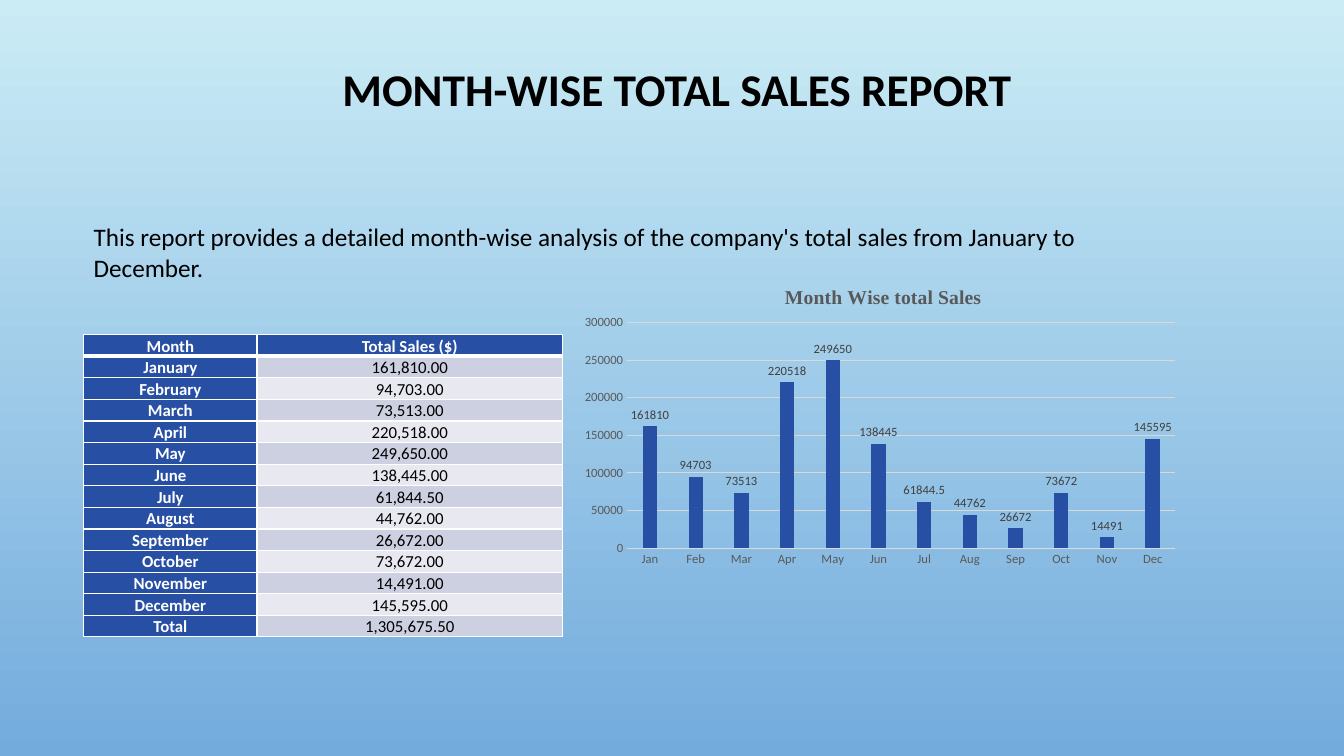
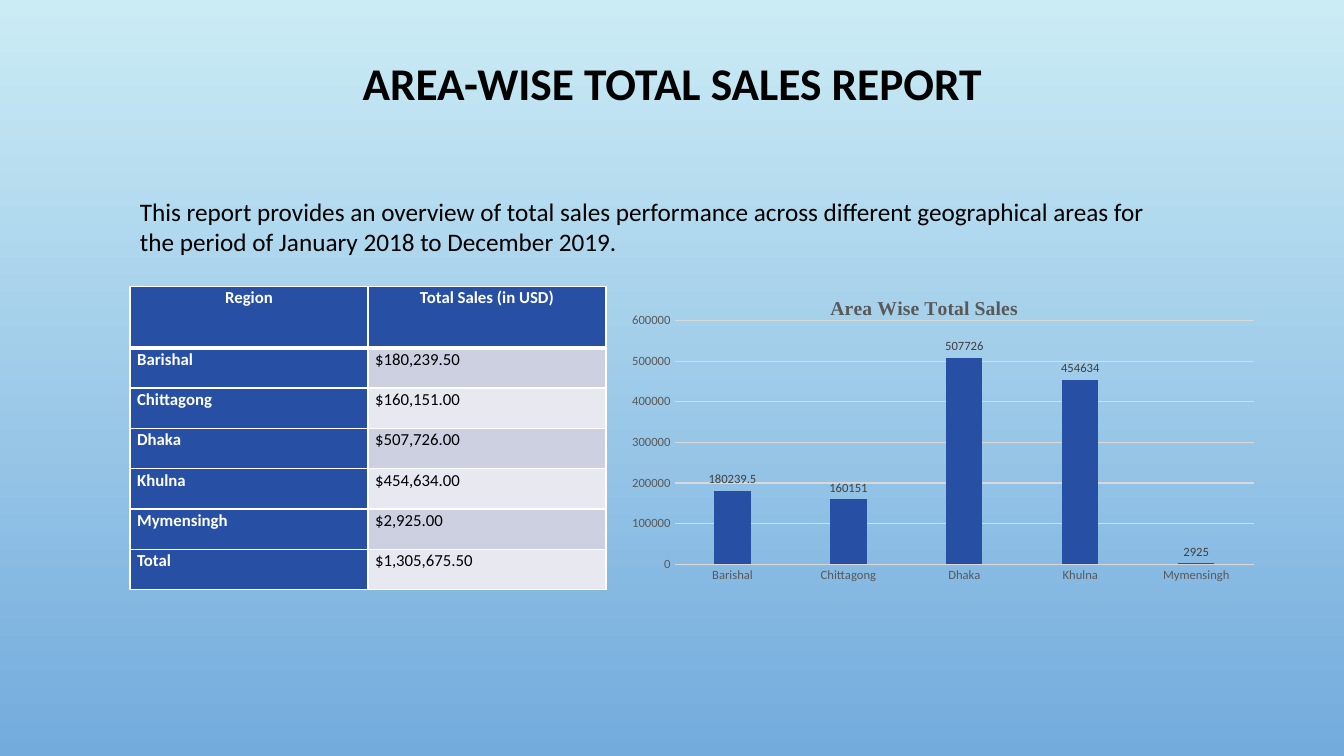
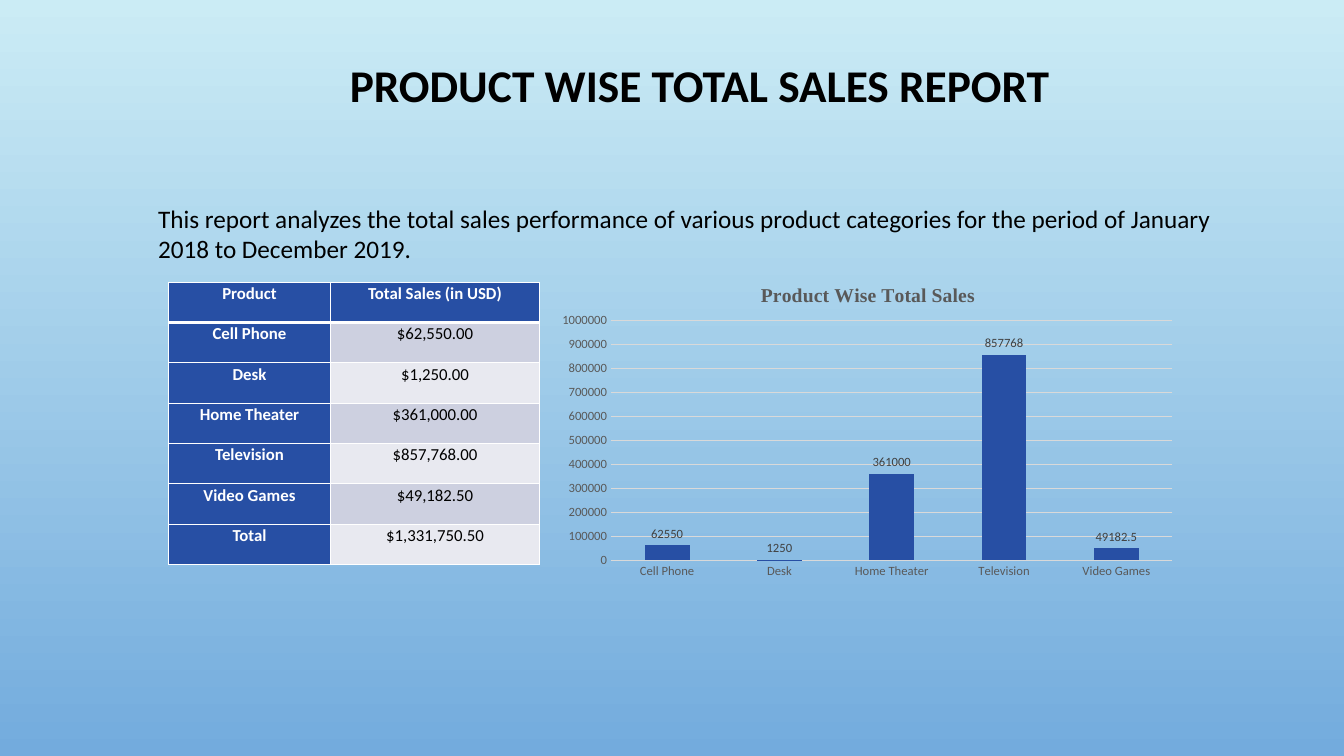
from dataclasses import dataclass

from lxml import etree
from pptx import Presentation
from pptx.chart.data import CategoryChartData
from pptx.dml.color import RGBColor
from pptx.enum.chart import XL_CHART_TYPE, XL_LABEL_POSITION as LabelPos, XL_TICK_MARK as Tick
from pptx.enum.text import MSO_ANCHOR as Anchor, PP_ALIGN as Align
from pptx.oxml.ns import qn
from pptx.util import Inches, Pt

COLORS = {
    "sky_top": "CBECF5",
    "sky_bottom": "73ABDD",
    "ink": "000000",
    "white": "FFFFFF",
    "navy": "274FA4",
    "band_dark": "CDD0E0",
    "band_light": "E8E9F0",
    "axis": "595959",
    "label": "404040",
    "grid": "D9D9D9",
}
BODY_FONT = "Calibri"
CHART_TITLE_FONT = "Times New Roman"


@dataclass
class Report:
    title: str
    title_box: tuple
    intro: str
    intro_box: tuple
    headers: tuple
    sales: dict
    table_at: tuple
    col_widths: tuple
    header_height: float
    row_height: float
    chart_title: str
    chart_title_at: tuple
    chart_box: tuple
    plot_box: tuple
    axis_max: int
    axis_step: int
    currency: str = "$"
    body_align: Align = Align.CENTER
    label_length: int = 20
    gap: int = 219
    overlap: int = -27


REPORTS = [
    Report(
        title="MONTH-WISE TOTAL SALES REPORT",
        title_box=(2.29, 0.67, 8.85, 0.98),
        intro="This report provides a detailed month-wise analysis of the company's "
              "total sales from January to December.",
        intro_box=(0.83, 2.15, 10.95, 0.4),
        headers=("Month", "Total Sales ($)"),
        sales={"January": 161810, "February": 94703, "March": 73513,
               "April": 220518, "May": 249650, "June": 138445,
               "July": 61844.5, "August": 44762, "September": 26672,
               "October": 73672, "November": 14491, "December": 145595},
        table_at=(0.83, 3.32), col_widths=(1.72, 3.03),
        header_height=0.2, row_height=0.2,
        chart_title="Month Wise total Sales", chart_title_at=(7.75, 2.79),
        chart_box=(5.67, 2.62, 6.11, 3.08), plot_box=(6.22, 3.2, 5.44, 2.24),
        axis_max=300000, axis_step=50000,
        currency="", label_length=3,
    ),
    Report(
        title="AREA-WISE TOTAL SALES REPORT",
        title_box=(2.27, 0.61, 8.8, 0.92),
        intro="This report provides an overview of total sales performance across "
              "different geographical areas for the period of January 2018 to "
              "December 2019.",
        intro_box=(1.29, 1.9, 10.5, 0.71),
        headers=("Region", "Total Sales (in USD)"),
        sales={"Barishal": 180239.5, "Chittagong": 160151, "Dhaka": 507726,
               "Khulna": 454634, "Mymensingh": 2925},
        table_at=(1.29, 2.84), col_widths=(2.36, 2.36),
        header_height=0.61, row_height=0.4,
        chart_title="Area Wise Total Sales", chart_title_at=(8.2, 2.89),
        chart_box=(6.14, 2.61, 6.42, 3.24), plot_box=(6.69, 3.18, 5.75, 2.42),
        axis_max=600000, axis_step=100000,
        body_align=Align.LEFT,
    ),
    Report(
        title="PRODUCT WISE TOTAL SALES REPORT",
        title_box=(2.39, 0.63, 9.1, 0.89),
        intro="This report analyzes the total sales performance of various product "
              "categories for the period of January 2018 to December 2019.",
        intro_box=(1.47, 1.97, 10.97, 0.71),
        headers=("Product", "Total Sales (in USD)"),
        sales={"Cell Phone": 62550, "Desk": 1250, "Home Theater": 361000,
               "Television": 857768, "Video Games": 49182.5},
        table_at=(1.67, 2.8), col_widths=(1.61, 2.07),
        header_height=0.4, row_height=0.4,
        chart_title="Product Wise Total Sales", chart_title_at=(7.51, 2.77),
        chart_box=(5.45, 2.6, 6.3, 3.22), plot_box=(6.06, 3.18, 5.57, 2.38),
        axis_max=1000000, axis_step=100000,
        gap=150, overlap=0,
    ),
]


def rgb(name):
    return RGBColor.from_string(COLORS[name])


def style_font(font, size, color, bold=False, name=BODY_FONT):
    font.name, font.size, font.bold = name, Pt(size), bold
    font.color.rgb = rgb(color)


# Background and text
def paint_background(slide):
    fill = slide.background.fill
    fill.gradient()
    fill.gradient_angle = 270
    for stop, position, color in zip(fill.gradient_stops, (0, 1), ("sky_top", "sky_bottom")):
        stop.position = position
        stop.color.rgb = rgb(color)


def add_text(slide, box, text, size, bold=False):
    frame = slide.shapes.add_textbox(*map(Inches, box)).text_frame
    frame.word_wrap = True
    frame.vertical_anchor = Anchor.TOP
    paragraph = frame.paragraphs[0]
    paragraph.text = text
    style_font(paragraph.font, size, "ink", bold)
    return frame


def add_title(slide, report):
    frame = add_text(slide, report.title_box, report.title, 32.4, bold=True)
    frame.margin_top = 0
    frame.paragraphs[0].alignment = Align.CENTER
    frame.paragraphs[0].line_spacing = 0.9


# Sales table
def add_borders(cell, row):
    heavy_side = {0: "B", 1: "T"}.get(row)
    properties = cell._tc.get_or_add_tcPr()
    for side in "LRTB":
        width = 3 if side == heavy_side else 1
        line = etree.SubElement(properties, qn(f"a:ln{side}"), w=str(Pt(width)))
        fill = etree.SubElement(line, qn("a:solidFill"))
        etree.SubElement(fill, qn("a:srgbClr"), val=COLORS["white"])


def fill_cell(cell, row, col, text, body_align):
    is_heading = row == 0 or col == 0
    cell.margin_left = cell.margin_right = Inches(0.07)
    cell.margin_top = cell.margin_bottom = 0
    add_borders(cell, row)
    cell.fill.solid()
    band = "band_dark" if row % 2 else "band_light"
    cell.fill.fore_color.rgb = rgb("navy" if is_heading else band)
    paragraph = cell.text_frame.paragraphs[0]
    paragraph.text = text
    paragraph.alignment = Align.CENTER if row == 0 else body_align
    paragraph.line_spacing = 1.07
    style_font(paragraph.font, 12, "white" if is_heading else "ink", is_heading)


def add_sales_table(slide, report):
    amounts = {**report.sales, "Total": sum(report.sales.values())}
    rows = [report.headers]
    rows += [(name, f"{report.currency}{amount:,.2f}") for name, amount in amounts.items()]
    heights = [report.header_height] + [report.row_height] * len(amounts)
    size = sum(report.col_widths), sum(heights)
    table = slide.shapes.add_table(
        len(rows), 2, *map(Inches, report.table_at + size)).table
    table.horz_banding = False
    for column, width in zip(table.columns, report.col_widths):
        column.width = Inches(width)
    for r, (texts, height) in enumerate(zip(rows, heights)):
        table.rows[r].height = Inches(height)
        for c, text in enumerate(texts):
            fill_cell(table.cell(r, c), r, c, text, report.body_align)


# Sales chart
def set_layout(parent, index, chart_box, place, inner=False):
    """Pin a chart part at a place in slide inches: (x, y) or (x, y, w, h)."""
    for old in parent.findall(qn("c:layout")):
        parent.remove(old)
    layout = etree.Element(qn("c:layout"))
    parent.insert(index, layout)
    manual = etree.SubElement(layout, qn("c:manualLayout"))
    left, top, width, height = chart_box
    fractions = [(place[0] - left) / width, (place[1] - top) / height]
    fractions += [part / whole for part, whole in zip(place[2:], (width, height))]
    entries = [("layoutTarget", "inner")] if inner else []
    entries += [("xMode", "edge"), ("yMode", "edge")]
    entries += [(key, f"{value:.4f}") for key, value in zip("xywh", fractions)]
    for tag, value in entries:
        etree.SubElement(manual, qn(f"c:{tag}"), val=value)


def style_axes(chart, report):
    for axis in (chart.category_axis, chart.value_axis):
        axis.major_tick_mark = axis.minor_tick_mark = Tick.NONE
        style_font(axis.tick_labels.font, 9, "axis")
    values = chart.value_axis
    values.minimum_scale, values.maximum_scale = 0, report.axis_max
    values.major_unit = report.axis_step
    values.format.line.fill.background()
    for line in (values.major_gridlines.format.line, chart.category_axis.format.line):
        line.color.rgb = rgb("grid")
        line.width = Pt(0.75)


def add_sales_chart(slide, report):
    data = CategoryChartData()
    data.categories = [name[:report.label_length] for name in report.sales]
    data.add_series("Series 1", list(report.sales.values()))
    chart = slide.shapes.add_chart(
        XL_CHART_TYPE.COLUMN_CLUSTERED, *map(Inches, report.chart_box), data).chart
    style_font(chart.font, 10, "ink")
    chart.has_legend = False

    chart.has_title = True
    heading = chart.chart_title.text_frame.paragraphs[0]
    heading.text = report.chart_title
    style_font(heading.font, 14, "axis", True, CHART_TITLE_FONT)
    set_layout(chart.chart_title.element, 1, report.chart_box, report.chart_title_at)
    plot_area = chart.element.find(".//" + qn("c:plotArea"))
    set_layout(plot_area, 0, report.chart_box, report.plot_box, inner=True)

    style_axes(chart, report)
    plot = chart.plots[0]
    plot.vary_by_categories = False
    plot.gap_width, plot.overlap = report.gap, report.overlap
    bars = plot.series[0]
    bars.format.fill.solid()
    bars.format.fill.fore_color.rgb = rgb("navy")
    labels = bars.data_labels
    labels.show_value = True
    labels.position = LabelPos.OUTSIDE_END
    style_font(labels.font, 9, "label")


def add_report_slide(deck, report):
    slide = deck.slides.add_slide(deck.slide_layouts[6])
    paint_background(slide)
    add_title(slide, report)
    add_text(slide, report.intro_box, report.intro, 18)
    add_sales_table(slide, report)
    add_sales_chart(slide, report)


def main():
    deck = Presentation()
    deck.slide_width, deck.slide_height = Inches(13.33), Inches(7.5)
    for report in REPORTS:
        add_report_slide(deck, report)
    deck.save("out.pptx")


if __name__ == "__main__":
    main()
